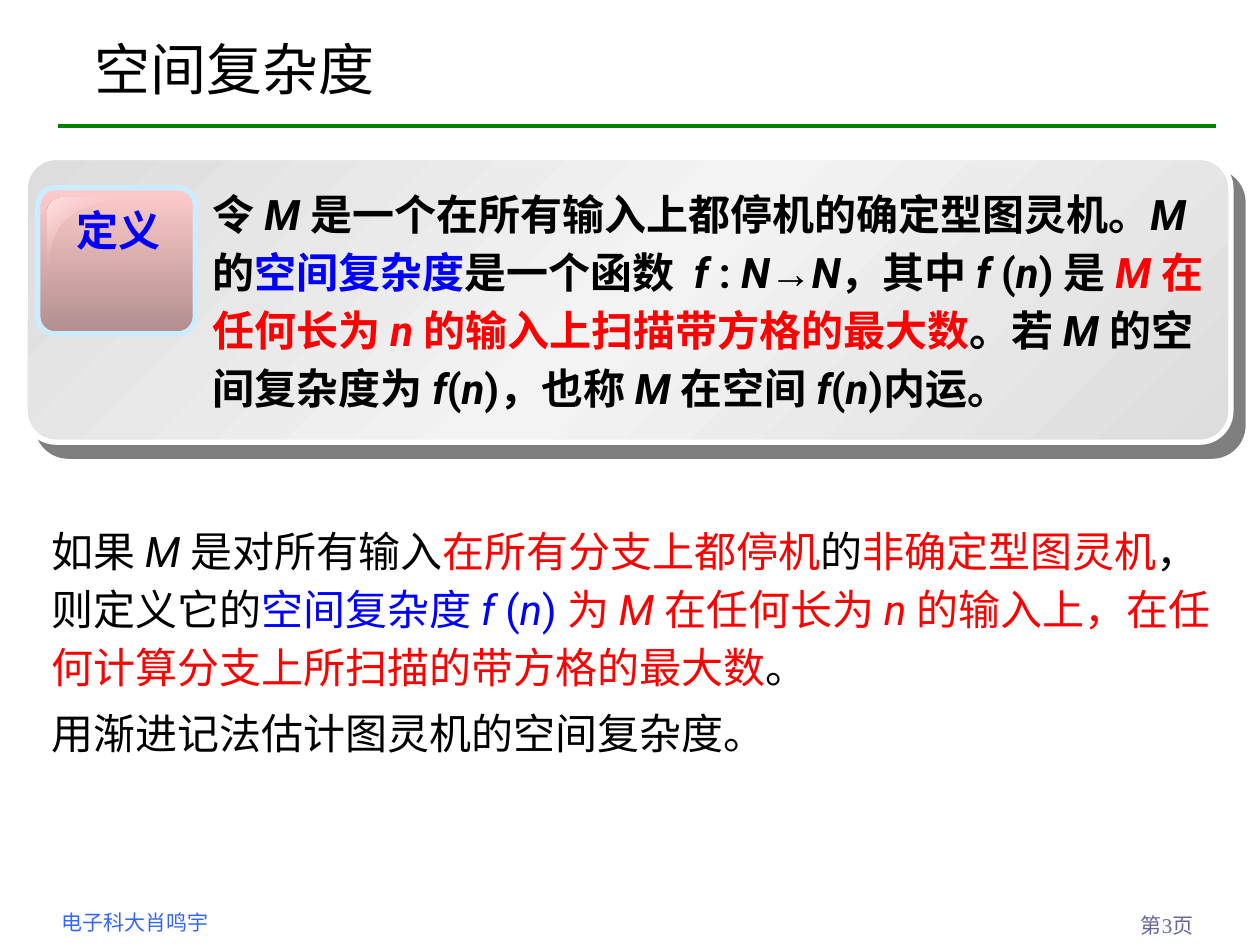
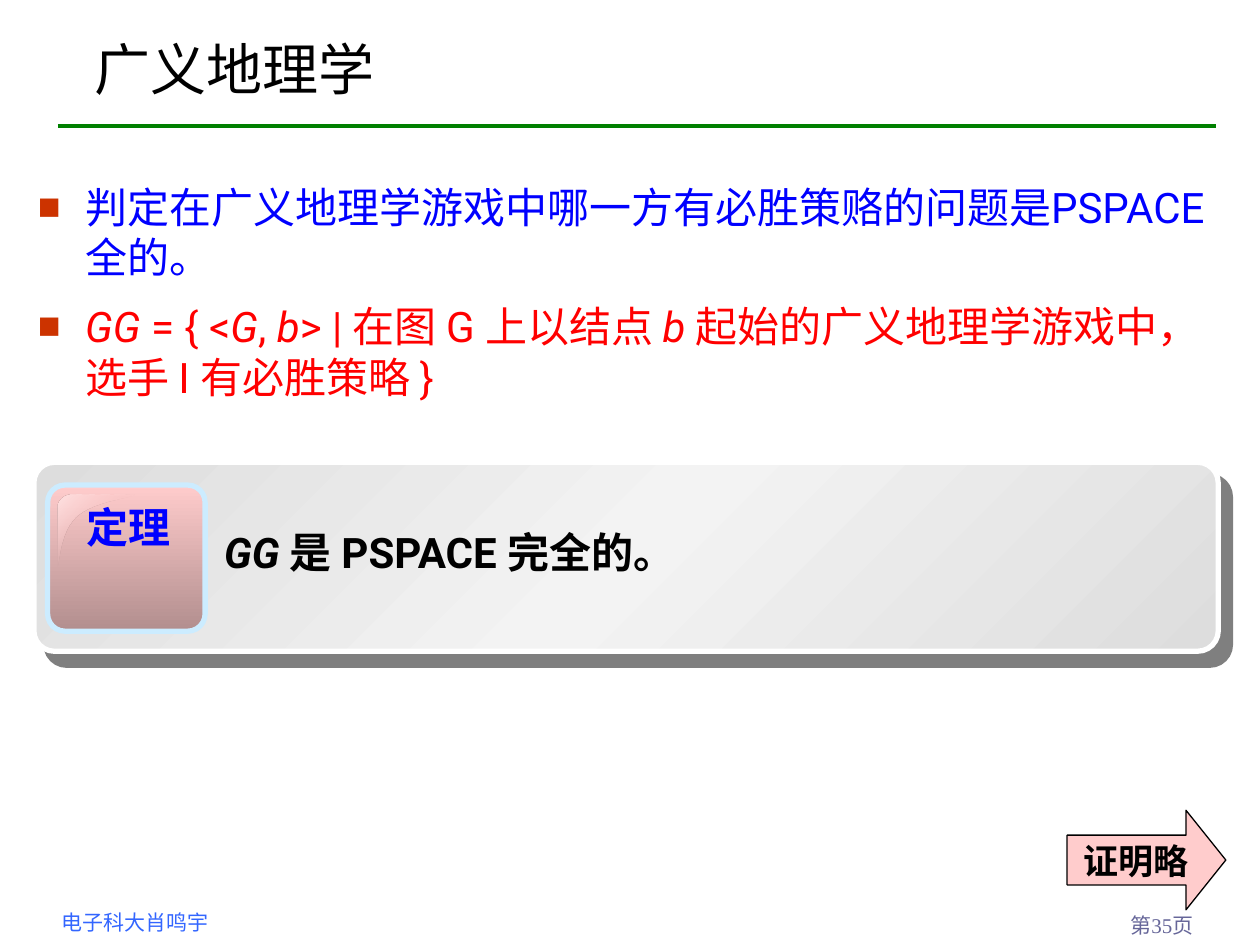
from lxml import etree
from pptx import Presentation
from pptx.dml.color import RGBColor
from pptx.enum.shapes import MSO_CONNECTOR as Conn, MSO_SHAPE as Shape
from pptx.enum.text import MSO_ANCHOR as Anchor, MSO_AUTO_SIZE as Auto, PP_ALIGN as Align
from pptx.oxml import parse_xml
from pptx.oxml.ns import nsdecls, qn
from pptx.util import Pt

rgb = RGBColor.from_string
SANS, BODY = "Noto Sans CJK SC", "Roboto"
BLACK, BLUE, RED = "000000", "0000FF", "FF0000"
TONES = {"b": BLUE, "r": RED}


def write(para, runs, size, font=BODY, tone=BLACK, bold=False):
    for text, style in runs:
        run = para.add_run()
        run.text = text
        face = run.font
        face.size, face.bold, face.italic = Pt(size), bold, "i" in style
        face.color.rgb = rgb(TONES.get(style[:1], tone))
        face.name = "Arial" if text == "→" else font
        props = run._r.get_or_add_rPr()
        props.set("lang", "zh-CN")
        etree.SubElement(props, qn("a:ea")).set("typeface", SANS)


def blend(shape, stops, angle):
    shape.shadow.inherit = False
    shape.fill.gradient()
    marks = "".join(
        f'<a:gs pos="{spot * 1000}"><a:srgbClr val="{tone}">'
        f'<a:alpha val="{alpha * 1000}"/></a:srgbClr></a:gs>'
        for spot, tone, alpha in stops)
    props = shape._element.spPr
    props.replace(props.find(qn("a:gradFill")), parse_xml(
        f'<a:gradFill {nsdecls("a")} rotWithShape="1"><a:gsLst>{marks}</a:gsLst>'
        f'<a:lin ang="{angle * 60000}" scaled="0"/></a:gradFill>'))


PAGES = [
    {
        "title": "空间复杂度", "page": "第3页", "layout": 5,
        "card": (14.4, 90, 689, 162.7), "tile": (21.6, 107.3),
        "label": "定义", "box": (114.5, 100, 586, 172.8),
        "text": [
            ("令 ", ""), ("M ", "i"), ("是一个在所有输入上都停机的确定型图灵机。", ""),
            ("M ", "i"), ("的", ""), ("空间复杂度", "b"), ("是一个函数  ", ""),
            ("f ", "i"), (": ", ""), ("N", "i"), ("→", ""), ("N", "i"),
            ("，其中 ", ""), ("f ", "i"), ("(", ""), ("n", "i"), (") 是 ", ""),
            ("M ", "ri"), ("在任何长为 ", "r"), ("n ", "ri"),
            ("的输入上扫描带方格的最大数", "r"), ("。若 ", ""), ("M ", "i"),
            ("的空间复杂度为 ", ""), ("f", "i"), ("(", ""), ("n", "i"),
            (")，也称 ", ""), ("M ", "i"), ("在空间 ", ""), ("f", "i"),
            ("(", ""), ("n", "i"), (")内运。", ""),
        ],
    },
    {
        "title": "广义地理学", "page": "第35页", "layout": 1,
        "card": (19.4, 264.2, 676.8, 108), "tile": (27.2, 277.2),
        "label": "定理", "box": (121, 293, 544.3, 40.3),
        "text": [("GG ", "i"), ("是 PSPACE 完全的。", "")],
    },
]

NOTES = [
    [
        ("如果 ", ""), ("M ", "i"), ("是对所有输入", ""), ("在所有分支上都停机", "r"),
        ("的", ""), ("非确定型图灵机", "r"), ("，则定义它的", ""),
        ("空间复杂度 ", "b"), ("f ", "bi"), ("(", "b"), ("n", "bi"), (") ", "b"),
        ("为 ", "r"), ("M ", "ri"), ("在任何长为 ", "r"), ("n ", "ri"),
        ("的输入上，在任何计算分支上所扫描的带方格的最大数", "r"), ("。", ""),
    ],
    [("用渐进记法估计图灵机的空间复杂度。", "")],
]

POINTS = [
    [("判定在广义地理学游戏中哪一方有必胜策赂的问题是PSPACE全的。", "b")],
    [
        ("GG", "ri"), (" = { <", "r"), ("G", "ri"), (", ", "r"), ("b", "ri"),
        ("> | 在图 G 上以结点 ", "r"), ("b ", "ri"),
        ("起始的广义地理学游戏中，选手 I 有必胜策略 }", "r"),
    ],
]

CURVES = [
    [(8.6, 0), (3.6, 0), (0, 3.6), (0, 7.9)],
    [(0, 41), (1.4, 41.8), (0.7, 21.6), (11.5, 12.2)],
    [(11.5, 12.2), (23, 2.9), (44.6, 2.2), (43.9, 0)],
]
STEPS = 12
GLOSS = []
for curve in CURVES:
    for step in range(STEPS + 1):
        t = step / STEPS
        parts = ((1 - t) ** 3, 3 * t * (1 - t) ** 2, 3 * t * t * (1 - t), t ** 3)
        GLOSS.append([sum(w * p[axis] for w, p in zip(parts, curve)) for axis in (0, 1)])

deck = Presentation()
deck.slide_width, deck.slide_height = Pt(720), Pt(540)
slides = []

for page in PAGES:
    slide = deck.slides.add_slide(deck.slide_layouts[page["layout"]])
    slides.append(slide)
    shapes = slide.shapes

    title = shapes.title
    title.left, title.top, title.width, title.height = map(Pt, (46.8, 15.1, 635.8, 48.2))
    frame = title.text_frame
    frame.auto_size, frame.vertical_anchor = Auto.NONE, Anchor.MIDDLE
    frame.paragraphs[0].alignment = Align.LEFT
    write(frame.paragraphs[0], [(page["title"], "")], 32, SANS)

    rule = shapes.add_connector(Conn.STRAIGHT, Pt(33.1), Pt(72), Pt(694.8), Pt(72))
    rule.line.color.rgb, rule.line.width = rgb("008000"), Pt(2.25)
    etree.SubElement(rule._element.spPr, qn("a:effectLst"))

    for place, text, font, tone, align in (
        ((28.1, 516.2, 144.7, 21.6), "电子科大肖鸣宇", "Arial", "3366FF", Align.LEFT),
        ((626.4, 517.7, 62.6, 22.3), page["page"], "Times New Roman", "666699", Align.RIGHT),
    ):
        frame = shapes.add_textbox(*map(Pt, place)).text_frame
        frame.word_wrap = True
        frame.paragraphs[0].alignment = align
        write(frame.paragraphs[0], [(text, "")], 12, font, tone)

    group = shapes.add_group_shape().shapes
    left, top = page["tile"]
    for place, curve, stops, angle, edge in (
        (page["card"], 0.109, [(0, "DDDDDD", 100), (50, "F3F3F3", 100), (100, "DDDDDD", 100)],
         45, "FFFFFF"),
        ((left, top, 90, 83.5), 0.119, [(0, "FFCCCC", 100), (100, "B28E8E", 100)],
         90, "CCECFF"),
    ):
        panel = group.add_shape(Shape.ROUNDED_RECTANGLE, *map(Pt, place))
        panel.adjustments[0] = curve
        blend(panel, stops, angle)
        panel.line.color.rgb, panel.line.width = rgb(edge), Pt(3)
        if place == page["card"]:
            panel._element.spPr.find(qn("a:effectLst")).append(parse_xml(
                f'<a:outerShdw {nsdecls("a")} blurRad="0" dist="{Pt(10.6)}" '
                f'dir="{49 * 60000}" algn="ctr" rotWithShape="0"><a:srgbClr val="{BLACK}">'
                '<a:alpha val="50000"/></a:srgbClr></a:outerShdw>'))

    spots = [(Pt(left + 5.6 + x), Pt(top + 5.6 + y)) for x, y in GLOSS]
    pen = group.build_freeform(*spots[0])
    pen.add_line_segments(spots[1:], close=True)
    gloss = pen.convert_to_shape()
    blend(gloss, [(0, "FFE3E3", 100), (50, "FFCCCC", 0), (100, "FFE3E3", 100)], 45)
    gloss.line.fill.background()

    frame = group.add_textbox(Pt(left + 12.2), Pt(top + 6.1), Pt(68.4), Pt(36)).text_frame
    frame.word_wrap = True
    frame.paragraphs[0].alignment = Align.CENTER
    write(frame.paragraphs[0], [(page["label"], "")], 24, SANS, BLUE, True)

    frame = group.add_textbox(*map(Pt, page["box"])).text_frame
    frame.word_wrap = True
    frame.paragraphs[0].line_spacing = 1.15
    write(frame.paragraphs[0], page["text"], 24, bold=True)

first, second = slides

frame = first.shapes.add_textbox(Pt(22.3), Pt(292.3), Pt(677.5), Pt(144)).text_frame
frame.word_wrap = True
for rank, runs in enumerate(NOTES):
    para = frame.add_paragraph() if rank else frame.paragraphs[0]
    para.line_spacing, para.space_before = 1.15, Pt(4.5 if rank else 0)
    write(para, runs, 24)

body = second.placeholders[1]
body.left, body.top, body.width, body.height = map(Pt, (14.4, 100.1, 691.9, 136.1))
frame = body.text_frame
frame.auto_size = Auto.NONE
for rank, runs in enumerate(POINTS):
    para = frame.add_paragraph() if rank else frame.paragraphs[0]
    props = para._p.get_or_add_pPr()
    props.set("marL", str(Pt(27)))
    props.set("indent", str(Pt(-27)))
    tint = etree.SubElement(props, qn("a:buClr"))
    etree.SubElement(tint, qn("a:srgbClr")).set("val", "CC3300")
    etree.SubElement(props, qn("a:buSzPct")).set("val", "90000")
    etree.SubElement(props, qn("a:buChar")).set("char", "■")
    para.space_before = Pt(10.5 if rank else 0)
    write(para, runs, 24)

arrow = second.shapes.add_shape(Shape.RIGHT_ARROW, Pt(609.8), Pt(463), Pt(90.7), Pt(56.9))
arrow.adjustments[0], arrow.adjustments[1] = 0.5, 0.4
arrow.shadow.inherit = False
arrow.fill.solid()
arrow.fill.fore_color.rgb = rgb("FFCCCC")
arrow.line.color.rgb, arrow.line.width = rgb(BLACK), Pt(0.75)
frame = arrow.text_frame
frame.word_wrap, frame.vertical_anchor = False, Anchor.MIDDLE
frame.paragraphs[0].alignment = Align.CENTER
write(frame.paragraphs[0], [("证明略", "")], 20, SANS, bold=True)

deck.save("out.pptx")
